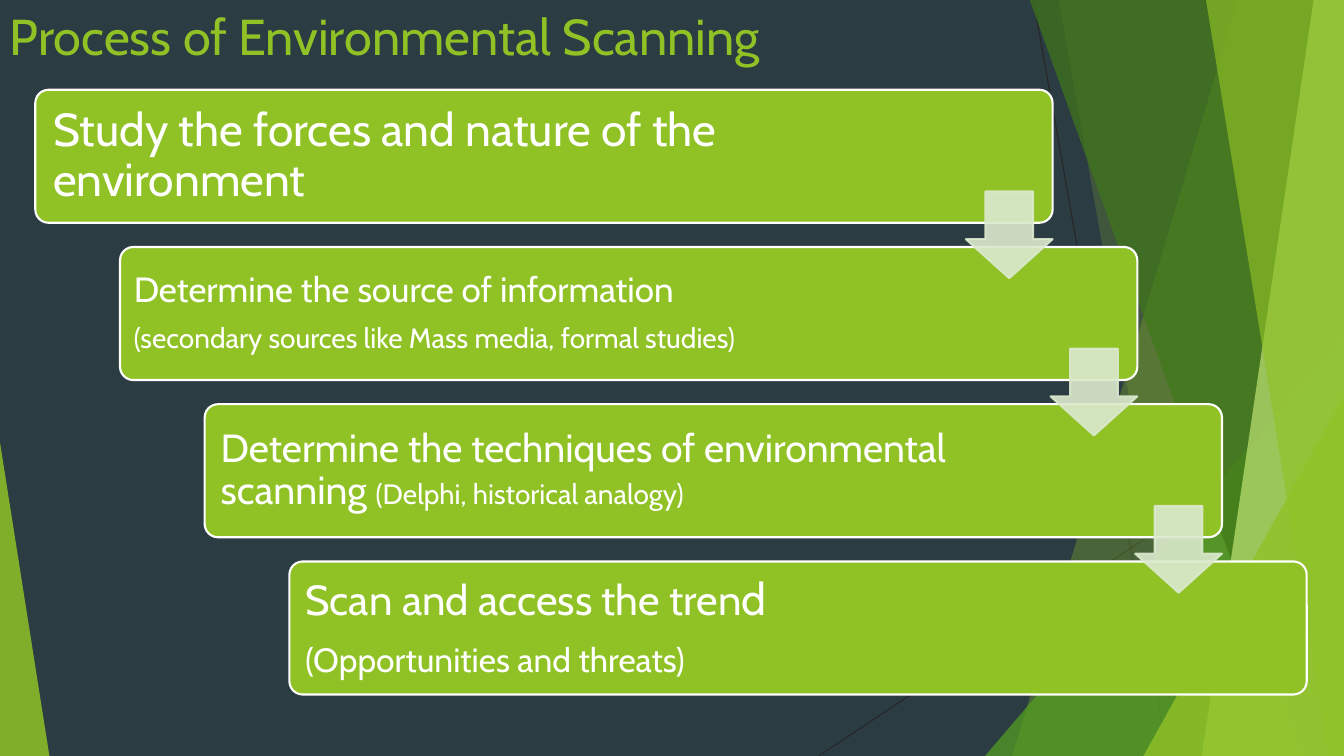
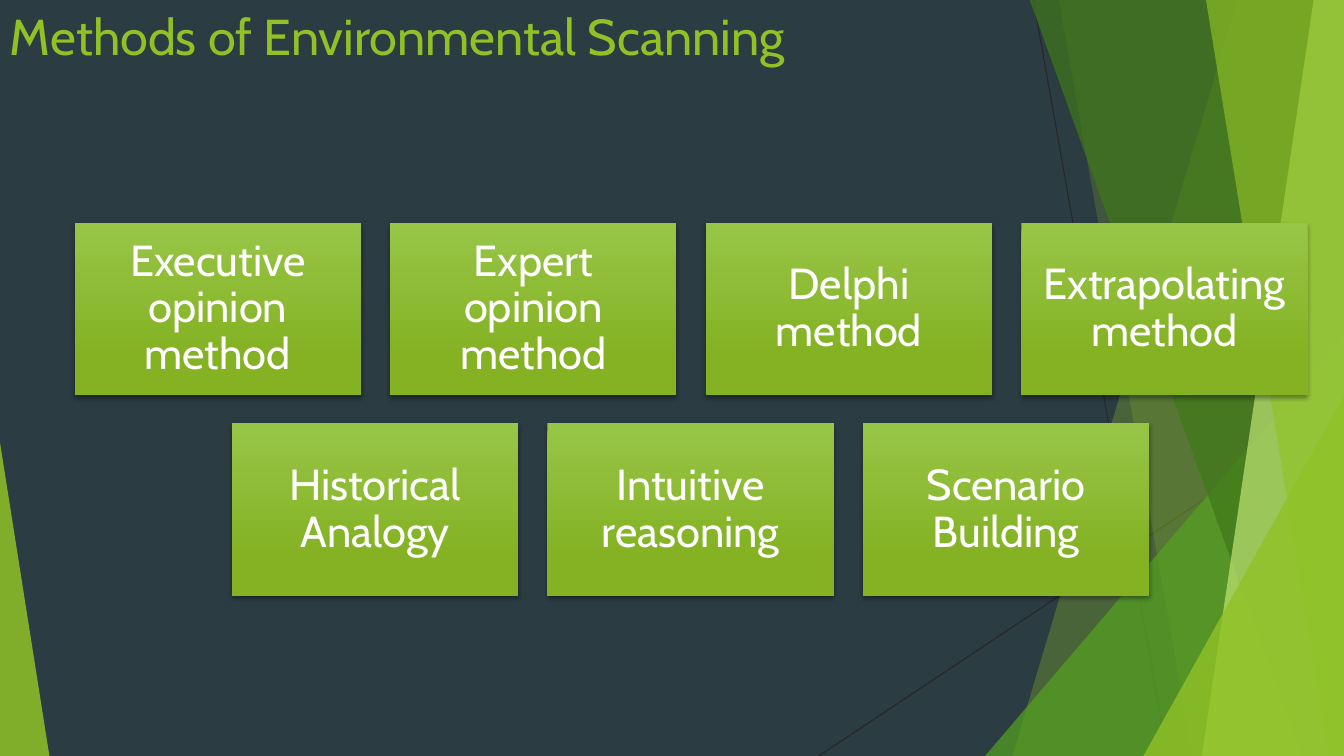
import dataclasses

import lxml.etree
import pptx
import pptx.dml.color
import pptx.enum.shapes
import pptx.enum.text
import pptx.oxml.ns
import pptx.util

RGB = pptx.dml.color.RGBColor
KIND = pptx.enum.shapes.MSO_SHAPE
ALIGN = pptx.enum.text.PP_ALIGN
ANCHOR = pptx.enum.text.MSO_ANCHOR
Pt = pptx.util.Pt

PX = 9144  # EMU in one px, 100 px to the inch
WIDE, HIGH = 1333, 750
FONT = "Cabin"

SLATE = RGB(0x2C, 0x3C, 0x43)
INK = RGB(0x26, 0x26, 0x26)
WHITE = RGB(0xFF, 0xFF, 0xFF)
LIME = RGB(0x90, 0xC2, 0x26)
GREEN = RGB(0x54, 0xA0, 0x21)
FOREST = RGB(0x3F, 0x78, 0x19)
PALE = RGB(0xC0, 0xE4, 0x74)
MIST = RGB(0xDB, 0xE9, 0xCD)
TOP = RGB(0x97, 0xC5, 0x47)
BASE = RGB(0x84, 0xB2, 0x23)

# Backdrop, back to front: bands as (top left, top right, bottom right,
# bottom left), triangles as (left, top, width, height, apex)
RAYS = [(1025, 0, 1158, 750), (1333, 403, 812, 750)]
BANDS = [
    ("band", (1228, WIDE, WIDE, 1004), LIME, 30),
    ("band", (1050, WIDE, WIDE, 1183), LIME, 20),
    ("peak", (977, 333, 356, 417, 1), GREEN, 72),
    ("band", (1021, WIDE, WIDE, 1291), FOREST, 70),
    ("band", (1303, WIDE, WIDE, 1192), PALE, 70),
    ("band", (1196, WIDE, WIDE, 1318), LIME, 65),
    ("peak", (1134, 393, 199, 357, 1), LIME, 80),
    ("peak", (0, 439, 49, 311, 0), LIME, 85),
]

# Each step: inset, then paragraphs of (text, size) runs
STEPS = [
    (14, [[("Study the forces and nature of the environment", 33)]]),
    (10, [[("Determine the source of information", 25)],
          [("(secondary sources like Mass media, formal studies)", 20)]]),
    (12, [[("Determine the techniques of environmental scanning ", 28),
           ("(Delphi, historical analogy)", 20)]]),
    (12, [[("Scan and access the tren", 30), ("d", 32)],
          [("(Opportunities and threats)", 24)]]),
]

METHODS = [
    ["Executive opinion method", "Expert opinion method",
     "Delphi method", "Extrapolating method"],
    ["Historical Analogy", "Intuitive reasoning", "Scenario Building"],
]


def put(item, values):
    for name, value in values.items():
        setattr(item, name, value)


def add(parent, tag, **values):
    node = lxml.etree.SubElement(parent, pptx.oxml.ns.qn(tag))
    for name, value in values.items():
        node.set(name, str(value))
    return node


@dataclasses.dataclass
class Deck:
    prs: object
    slide: object = None

    def start(self, title):
        """Open a slide with the shared backdrop and title."""
        self.slide = self.prs.slides.add_slide(self.prs.slide_layouts[6])
        fill = self.slide.background.fill
        fill.solid()
        fill.fore_color.rgb = SLATE
        for ends in RAYS:
            self.ray(ends)
        for kind, place, color, alpha in BANDS:
            draw = self.band if kind == "band" else self.peak
            self.paint(draw(place), color, alpha)
        box = self.slide.shapes.add_textbox(0, 0, 940 * PX, 144 * PX)
        self.label(box, [[(title, 36)]], {"word_wrap": True}, {}, LIME)

    def ray(self, ends):
        line = self.slide.shapes.add_connector(
            pptx.enum.shapes.MSO_CONNECTOR.STRAIGHT, *[n * PX for n in ends])
        line.line.color.rgb = INK
        line.line.width = Pt(0.75)
        add(line.element.spPr, "a:effectLst")

    def band(self, xs):
        points = list(zip(xs, (-1, -1, HIGH, HIGH)))
        outline = self.slide.shapes.build_freeform(*points[0], scale=PX)
        outline.add_line_segments(points[1:], close=True)
        return outline.convert_to_shape()

    def peak(self, place):
        *box, apex = place
        return self.shape(KIND.ISOSCELES_TRIANGLE, box, [apex])

    def shape(self, kind, box, bends=()):
        item = self.slide.shapes.add_shape(kind, *[n * PX for n in box])
        for spot, bend in enumerate(bends):
            item.adjustments[spot] = bend
        return item

    def paint(self, item, color, alpha=100, edge=None):
        """Flat fill, optional outline, no shadow."""
        item.shadow.inherit = False
        item.fill.solid()
        item.fill.fore_color.rgb = color
        if edge is None:
            item.line.fill.background()
        else:
            item.line.color.rgb = edge
            item.line.width = Pt(1.5)
        if alpha < 100:
            for node in item.element.xpath("./p:spPr//a:srgbClr"):
                add(node, "a:alpha", val=alpha * 1000)

    def label(self, item, paras, frame, style, color=WHITE):
        text = item.text_frame
        put(text, frame)
        for spot, runs in enumerate(paras):
            para = text.add_paragraph() if spot else text.paragraphs[0]
            put(para, style)
            if style:
                para.space_after = Pt(round(0.42 * max(s for _, s in runs)))
            for words, size in runs:
                run = para.add_run()
                run.text = words
                put(run.font, {"name": FONT, "size": Pt(size)})
                run.font.color.rgb = color

    def block(self, item, paras, pad, align, right=0):
        """Centred-in-height text inside a filled shape."""
        inset = pad * PX
        frame = {"word_wrap": True, "vertical_anchor": ANCHOR.MIDDLE,
                 "margin_left": inset, "margin_top": inset,
                 "margin_bottom": inset, "margin_right": inset + right * PX}
        style = {"alignment": align, "line_spacing": 0.9}
        self.label(item, paras, frame, style)

    def step(self, box, pad, paras):
        item = self.shape(KIND.ROUNDED_RECTANGLE, box, [0.1])
        self.paint(item, LIME, edge=WHITE)
        self.block(item, paras, pad, ALIGN.LEFT, right=170)

    def arrow(self, left, top):
        item = self.shape(KIND.DOWN_ARROW, (left, top, 86, 86), [0.55, 0.45])
        self.paint(item, MIST, 90, MIST)

    def card(self, box, words):
        item = self.shape(KIND.RECTANGLE, box)
        item.line.fill.background()
        item.fill.gradient()
        item.fill.gradient_angle = 270
        tones = [(0, TOP), (0.78, BASE)]
        for stop, (place, color) in zip(item.fill.gradient_stops, tones):
            stop.position = place
            stop.color.rgb = color
        # Soft shadow below the card
        item.shadow.inherit = False
        glow = add(item.element.xpath("./p:spPr/a:effectLst")[0],
                   "a:outerShdw", blurRad=int(Pt(3)), dist=int(Pt(2)),
                   dir=5400000, algn="ctr", rotWithShape=0)
        add(add(glow, "a:srgbClr", val="000000"), "a:alpha", val=35000)
        self.block(item, [[(words, 31)]], 13, ALIGN.CENTER)


def process(deck):
    deck.start("Process of Environmental Scanning")
    wide, high = 1009, 132
    spots = [(35 + 84 * i, 89 + 156 * i) for i in range(len(STEPS))]
    for (left, top), (pad, paras) in zip(spots, STEPS):
        deck.step((left, top, wide, high), pad, paras)
    for left, top in spots[:-1]:
        deck.arrow(left + wide - 86, top + 101)


def methods(deck):
    deck.start("Methods of Environmental Scanning")
    wide, high, gap, mid = 284, 171, 29, 685
    for row, names in enumerate(METHODS):
        span = len(names) * (wide + gap) - gap
        top = 221 + row * (high + gap - 1)
        for col, words in enumerate(names):
            left = mid - span // 2 + col * (wide + gap)
            deck.card((left, top, wide, high), words)


def main():
    prs = pptx.Presentation()
    put(prs, {"slide_width": WIDE * PX, "slide_height": HIGH * PX})
    deck = Deck(prs)
    process(deck)
    methods(deck)
    prs.save("out.pptx")


if __name__ == "__main__":
    main()
